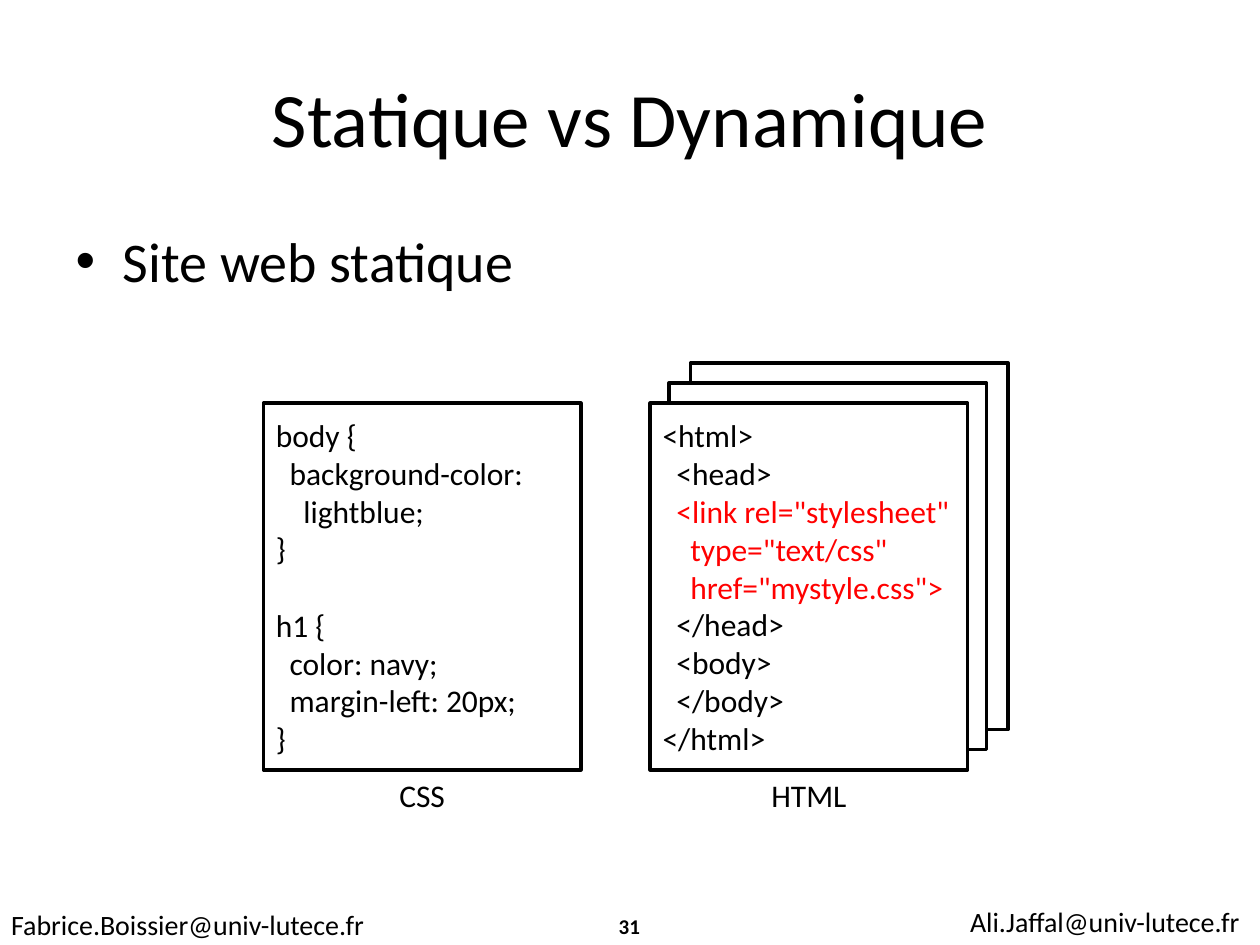
from dataclasses import dataclass

from pptx import Presentation
from pptx.dml.color import RGBColor
from pptx.enum.shapes import MSO_SHAPE
from pptx.enum.text import MSO_ANCHOR as Anchor, PP_ALIGN as Align
from pptx.util import Inches, Pt


@dataclass(frozen=True)
class Theme:
    font: str = "Calibri"
    black: RGBColor = RGBColor(0, 0, 0)
    white: RGBColor = RGBColor(255, 255, 255)
    red: RGBColor = RGBColor(255, 0, 0)
    title: int = 44
    body: int = 32
    code: int = 18
    footer: int = 16
    number: int = 12


THEME = Theme()

# Page boxes and code layout, in inches
PAGE_W, PAGE_H = 2.52, 2.91
PAGE_TOP = 3.2
CSS_LEFT, HTML_LEFT = 2.09, 5.16
SINGLE = [(0, 0)]
STACK = [(0.32, 0.32), (0.15, 0.16), (0, 0)]  # right and up, back to front
CODE_INDENT = 0.11
BLANK_LINE = 22  # points

# Code paragraphs: text, indent level, colour, points before.
# Lines after a \v break are indented one level deeper.
CSS_CODE = [
    ("body {", 0, THEME.black, 0),
    ("background-color:\vlightblue;", 1, THEME.black, 0),
    ("}", 0, THEME.black, 0),
    ("h1 {", 0, THEME.black, BLANK_LINE),
    ("color: navy;", 1, THEME.black, 0),
    ("margin-left: 20px;", 1, THEME.black, 0),
    ("}", 0, THEME.black, 0),
]
HTML_CODE = [
    ("<html>", 0, THEME.black, 0),
    ("<head>", 1, THEME.black, 0),
    ('<link rel="stylesheet"\vtype="text/css"\vhref="mystyle.css">',
     1, THEME.red, 0),
    ("</head>", 1, THEME.black, 0),
    ("<body>", 1, THEME.black, 0),
    ("</body>", 1, THEME.black, 0),
    ("</html>", 0, THEME.black, 0),
]


def style(p, size, color=THEME.black, bold=False, align=Align.LEFT):
    p.alignment = align
    for r in p.runs:
        r.font.name = THEME.font
        r.font.size = Pt(size)
        r.font.bold = bold
        r.font.color.rgb = color


def place(sp, left, top, width, height):
    sp.left, sp.top = Inches(left), Inches(top)
    sp.width, sp.height = Inches(width), Inches(height)


def fill_placeholder(sp, box, text, size, align):
    place(sp, *box)
    sp.text_frame.text = text
    style(sp.text_frame.paragraphs[0], size, align=align)


def add_label(shapes, box, text, size, align=Align.LEFT, wrap=True,
              bold=False, anchor=Anchor.TOP):
    sp = shapes.add_textbox(*map(Inches, box))
    tf = sp.text_frame
    tf.word_wrap = wrap
    tf.vertical_anchor = anchor
    tf.text = text
    style(tf.paragraphs[0], size, bold=bold, align=align)


def add_page(shapes, left, top, filled):
    sp = shapes.add_shape(MSO_SHAPE.RECTANGLE, Inches(left), Inches(top),
                          Inches(PAGE_W), Inches(PAGE_H))
    sp.shadow.inherit = False
    if filled:
        sp.fill.solid()
        sp.fill.fore_color.rgb = THEME.white
    else:
        sp.fill.background()
    sp.line.color.rgb = THEME.black
    sp.line.width = Pt(2)
    return sp


def indent_code(p, level):
    hang = 1 if "\v" in p.text else 0
    pPr = p._p.get_or_add_pPr()
    pPr.set("marL", str(Inches((level + hang) * CODE_INDENT)))
    pPr.set("indent", str(Inches(-hang * CODE_INDENT)))


def write_code(sp, lines):
    tf = sp.text_frame
    tf.word_wrap = True
    tf.vertical_anchor = Anchor.MIDDLE
    tf.text = "\n".join(text for text, *_ in lines)
    for p, (_, level, color, before) in zip(tf.paragraphs, lines):
        style(p, THEME.code, color)
        p.space_before = Pt(before)
        indent_code(p, level)


def add_file_stack(s, left, lines, caption, offsets):
    """Pages from back to front, code on the front one, caption below."""
    shapes = s.shapes.add_group_shape().shapes
    for i, (right, up) in enumerate(offsets):
        page = add_page(shapes, left + right, PAGE_TOP - up, filled=i > 0)
    write_code(page, lines)
    add_label(shapes, (left, PAGE_TOP + PAGE_H, PAGE_W, 0.4), caption,
              THEME.code, Align.CENTER)


def add_footer(s):
    add_label(s.shapes, (-0.01, 7.15, 3.04, 0.37),
              "Fabrice.Boissier@univ-lutece.fr", THEME.footer, wrap=False)
    add_label(s.shapes, (7.6, 7.13, 2.42, 0.37),
              "Ali.Jaffal@univ-lutece.fr", THEME.footer, wrap=False)
    add_label(s.shapes, (3.83, 7.15, 2.33, 0.4), "31", THEME.number,
              Align.CENTER, bold=True, anchor=Anchor.MIDDLE)


def main():
    prs = Presentation()
    prs.slide_width, prs.slide_height = Inches(10), Inches(7.5)
    s = prs.slides.add_slide(prs.slide_layouts[1])

    # Title and bullet
    fill_placeholder(s.shapes.title, (0.5, 0.3, 9, 1.25),
                     "Statique vs Dynamique", THEME.title, Align.CENTER)
    fill_placeholder(s.placeholders[1], (0.5, 1.75, 9, 4.95),
                     "Site web statique", THEME.body, Align.LEFT)

    # One style sheet shared by several pages
    add_file_stack(s, HTML_LEFT, HTML_CODE, "HTML", STACK)
    add_file_stack(s, CSS_LEFT, CSS_CODE, "CSS", SINGLE)

    # Contacts and slide number
    add_footer(s)
    prs.save("out.pptx")


if __name__ == "__main__":
    main()
